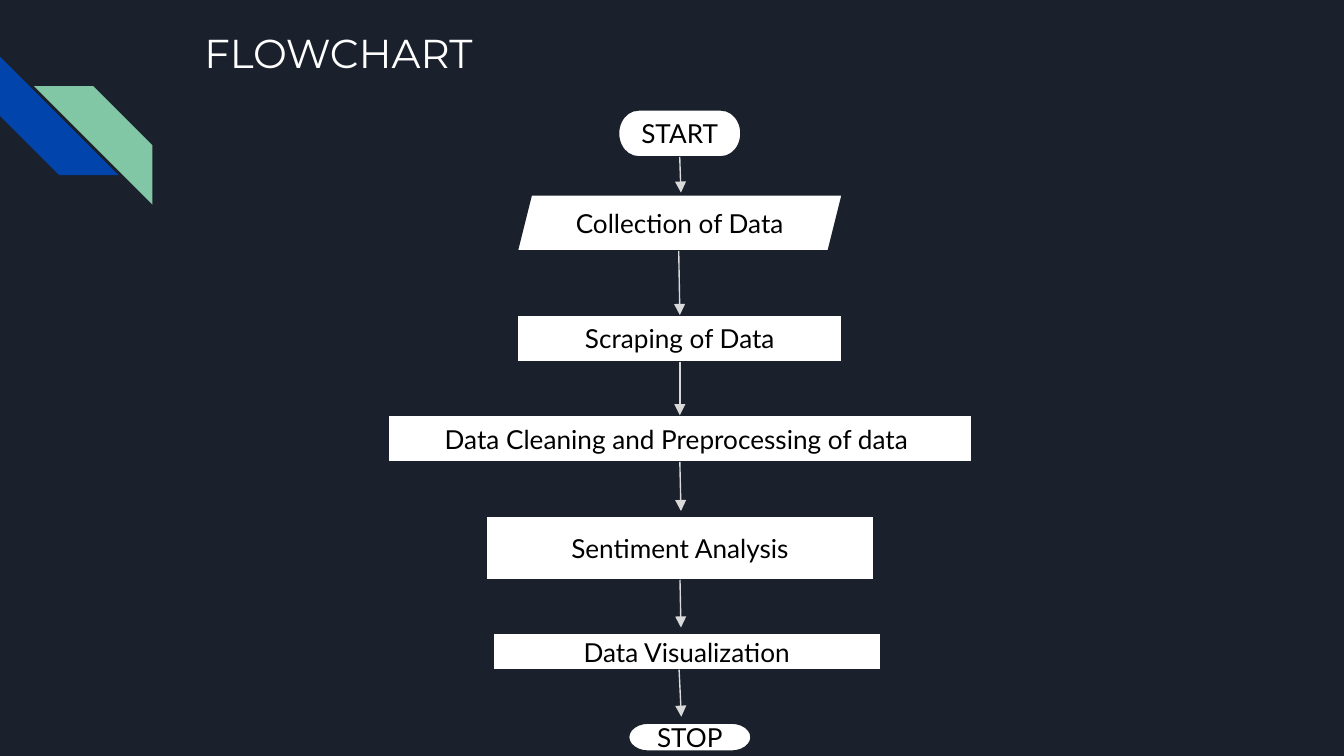
import pptx
import pptx.util
import pptx.dml.color
import pptx.enum.shapes
import pptx.enum.text
import pptx.oxml
import pptx.oxml.ns
from dataclasses import dataclass

Pt = pptx.util.Pt
Shape = pptx.enum.shapes.MSO_SHAPE
Align = pptx.enum.text.PP_ALIGN
Anchor = pptx.enum.text.MSO_ANCHOR
TOP, BOTTOM = 0, 2


@dataclass
class Theme:
    background: str = "1B212C"
    blue: str = "0145AC"
    green: str = "82C7A5"
    box: str = "FFFFFF"
    arrow: str = "D9D9D9"
    title: str = "FFFFFF"
    text: str = "000000"
    title_font: str = "Montserrat"
    body_font: str = "Lato"
    title_size: float = 21.6
    body_size: float = 14
    line_width: float = 0.75
    inset: float = 7.2


def color(value):
    return pptx.dml.color.RGBColor.from_string(value)


def paint(fill, value):
    fill.solid()
    fill.fore_color.rgb = color(value)


class FlowPage:
    def __init__(self, page, theme):
        self.page = page
        self.theme = theme
        paint(page.background.fill, theme.background)

    def label(self, shape, text, font, size, value, align, anchor):
        frame = shape.text_frame
        frame.word_wrap = True
        frame.vertical_anchor = anchor
        frame.margin_left = frame.margin_right = Pt(self.theme.inset)
        frame.margin_top = frame.margin_bottom = Pt(self.theme.inset)
        para = frame.paragraphs[0]
        para.alignment = align
        span = para.add_run()
        span.text = text
        span.font.name = font
        span.font.size = Pt(size)
        span.font.color.rgb = color(value)

    def title(self, text, left, top, width, height):
        box = self.page.shapes.add_textbox(Pt(left), Pt(top), Pt(width), Pt(height))
        self.label(box, text, self.theme.title_font, self.theme.title_size,
                   self.theme.title, Align.LEFT, Anchor.TOP)

    def stripe(self, left, top, size, rotation, value):
        shape = self.page.shapes.add_shape(
            Shape.DIAGONAL_STRIPE, Pt(left), Pt(top), Pt(size), Pt(size))
        shape.shadow.inherit = False
        shape.rotation = rotation
        paint(shape.fill, value)
        shape.line.fill.background()

    def step(self, kind, text, left, top, width, height):
        box = self.page.shapes.add_shape(kind, Pt(left), Pt(top), Pt(width), Pt(height))
        box.shadow.inherit = False
        paint(box.fill, self.theme.box)
        paint(box.line.fill, self.theme.background)
        box.line.width = Pt(self.theme.line_width)
        self.label(box, text, self.theme.body_font, self.theme.body_size,
                   self.theme.text, Align.CENTER, Anchor.MIDDLE)
        return box

    def arrow(self, start, end, source=None, target=None):
        line = self.page.shapes.add_connector(
            pptx.enum.shapes.MSO_CONNECTOR.STRAIGHT, *map(Pt, start + end))
        if source is not None:
            line.begin_connect(source, BOTTOM)
        if target is not None:
            line.end_connect(target, TOP)
        paint(line.line.fill, self.theme.arrow)
        line.line.width = Pt(self.theme.line_width)
        # Arrowhead, and no shadow
        namespace = pptx.oxml.ns.nsdecls("a")
        properties = line.element.spPr
        properties.find(pptx.oxml.ns.qn("a:ln")).append(
            pptx.oxml.parse_xml(f'<a:tailEnd {namespace} type="triangle"/>'))
        properties.append(pptx.oxml.parse_xml(f"<a:effectLst {namespace}/>"))


def main():
    deck = pptx.Presentation()
    deck.slide_width, deck.slide_height = Pt(720), Pt(405)
    theme = Theme()
    flow = FlowPage(deck.slides.add_slide(deck.slide_layouts[6]), theme)

    # Corner stripes and title
    flow.stripe(0, 30.3, 63.5, 270, theme.blue)
    flow.stripe(18.2, 46.2, 63.5, 90, theme.green)
    flow.title("FLOWCHART", 102.4, 7.9, 554.4, 33.8)

    # Steps, from start to stop
    start, collection, scraping, cleaning, sentiment, visualization, stop = [
        flow.step(*step) for step in (
            (Shape.FLOWCHART_TERMINATOR, "START", 331.4, 59, 65.5, 25),
            (Shape.PARALLELOGRAM, "Collection of Data", 277.2, 104.4, 174, 30),
            (Shape.RECTANGLE, "Scraping of Data", 277.2, 168.8, 174, 25),
            (Shape.RECTANGLE, "Data Cleaning and Preprocessing of data ", 208, 222.5, 312.4, 25),
            (Shape.RECTANGLE, "Sentiment Analysis", 260.6, 276.6, 207.4, 34),
            (Shape.RECTANGLE, "Data Visualization", 264.2, 339.4, 207.4, 19.4),
            (Shape.FLOWCHART_TERMINATOR, "STOP", 336.8, 387.4, 65.5, 15),
        )]

    # Arrows, joined where they meet the middle of a side
    flow.arrow((364.2, 84), (364.8, 103.2), source=start)
    flow.arrow((363.6, 134.4), (364.2, 168.8), target=scraping)
    flow.arrow((364.2, 193.8), (364.2, 222.5), scraping, cleaning)
    flow.arrow((363.6, 247.5), (364.8, 273.8), source=cleaning)
    flow.arrow((363.6, 310.6), (364.8, 336.2), source=sentiment)
    flow.arrow((363.8, 358.8), (365, 384))

    deck.save("out.pptx")


if __name__ == "__main__":
    main()
